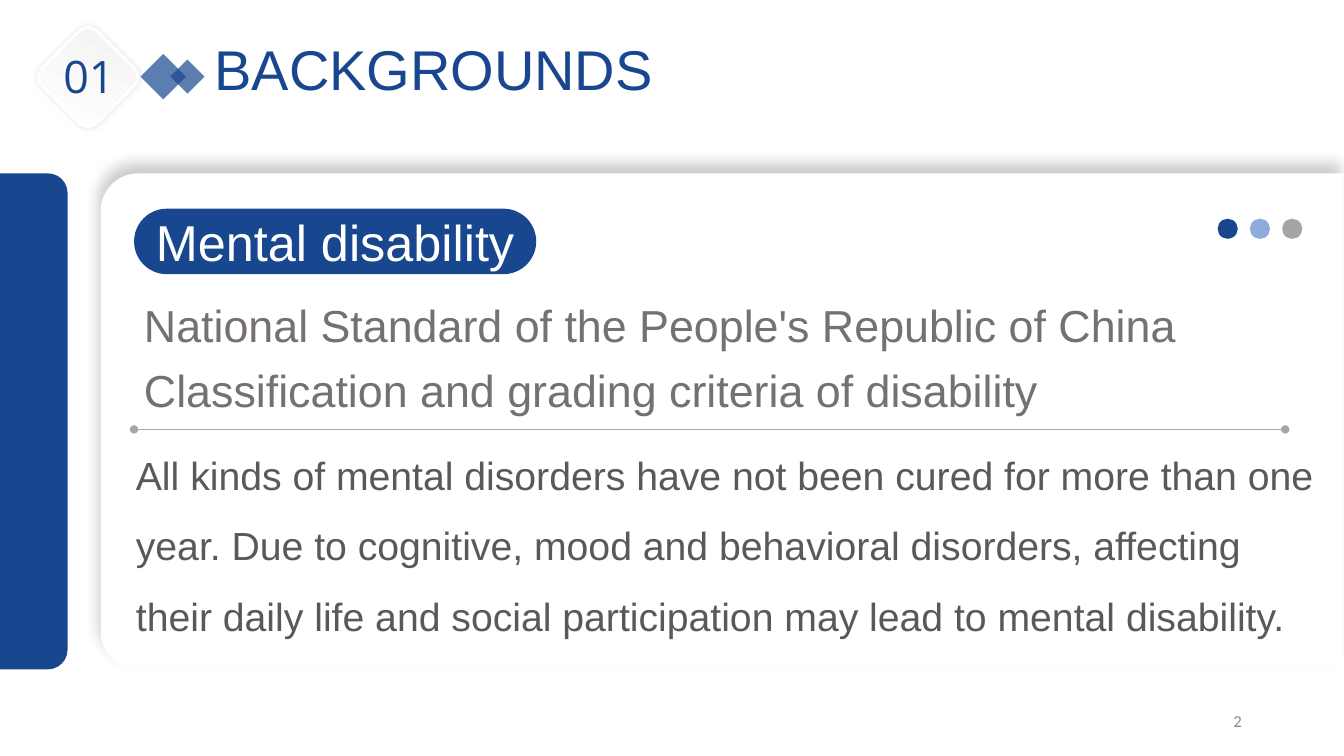
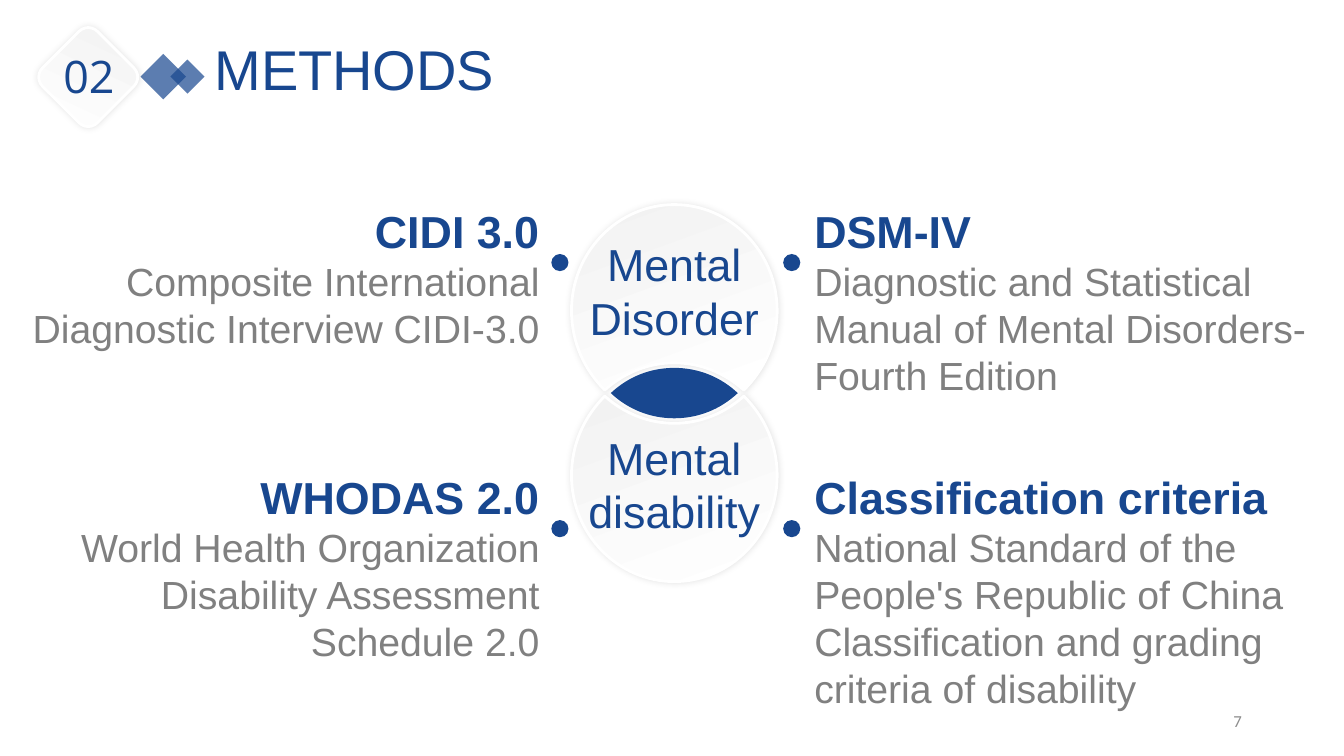
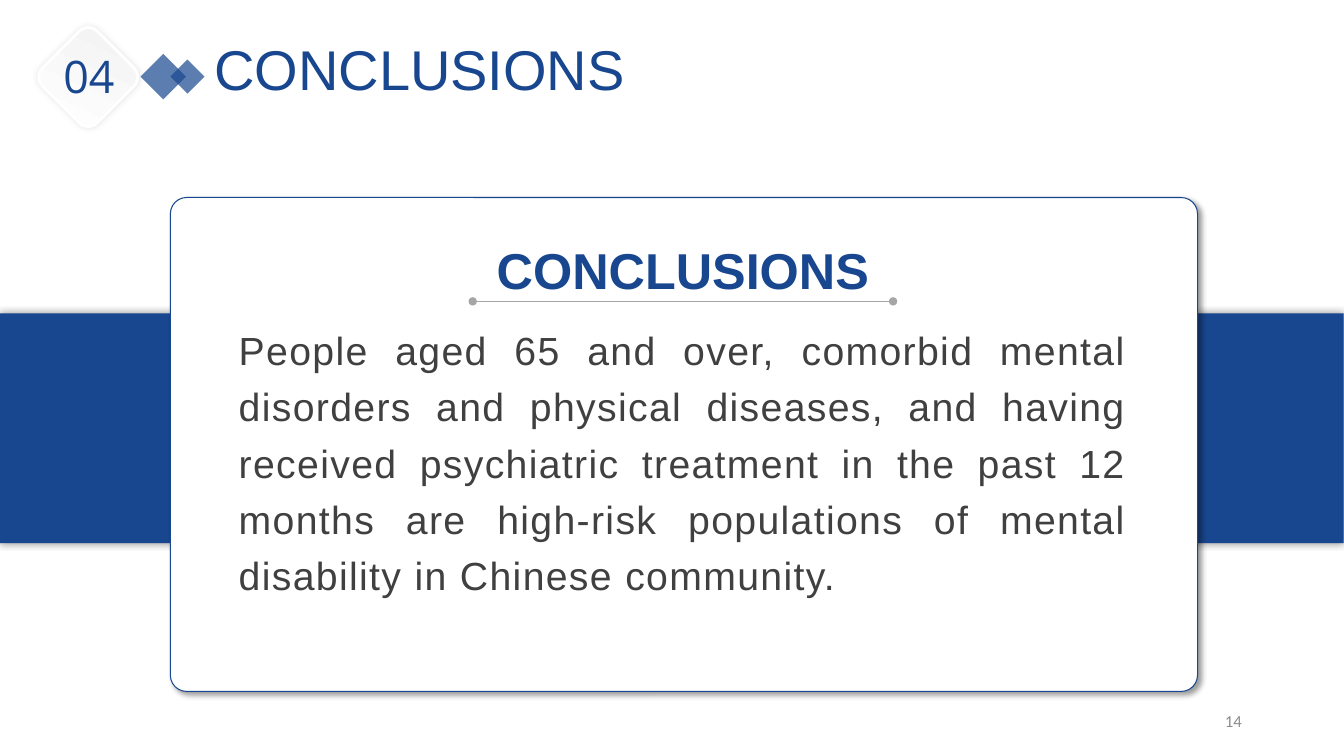
"""Three slides of a talk on mental disability, built with python-pptx."""
from dataclasses import dataclass

from lxml import etree
from pptx import Presentation
from pptx.dml.color import RGBColor
from pptx.enum.shapes import MSO_CONNECTOR, MSO_SHAPE
from pptx.enum.text import MSO_ANCHOR, MSO_AUTO_SIZE, PP_ALIGN
from pptx.oxml.ns import qn
from pptx.util import Pt

PX = 9144
RECT, ROUND = MSO_SHAPE.RECTANGLE, MSO_SHAPE.ROUNDED_RECTANGLE
TAB, OVAL = MSO_SHAPE.ROUND_2_SAME_RECTANGLE, MSO_SHAPE.OVAL
STRAIGHT = MSO_CONNECTOR.STRAIGHT
LEFT, CENTER, RIGHT, JUSTIFY = PP_ALIGN.LEFT, PP_ALIGN.CENTER, PP_ALIGN.RIGHT, PP_ALIGN.JUSTIFY
MIDDLE = MSO_ANCHOR.MIDDLE
GROW, FIXED = MSO_AUTO_SIZE.SHAPE_TO_FIT_TEXT, MSO_AUTO_SIZE.NONE
DISC = ((0, -30), (26, -30), (50, -20), (69, -3), (89, -23), (102, -50), (102, -82),
        (102, -140), (56, -187), (0, -187))
LENS = ((0, -25), (24, -25), (46, -16), (63, 0), (46, 16), (24, 25), (0, 25))


@dataclass(frozen=True)
class Theme:
    """Colours, fonts, type sizes and shadows shared by all slides."""
    navy: str = "18478F"
    sky: str = "8FAADC"
    silver: str = "A5A5A5"
    rule: str = "A6A6A6"
    white: str = "FFFFFF"
    pale: str = "F2F2F2"
    standard: str = "767171"
    body: str = "595959"
    detail: str = "808080"
    dark: str = "404040"
    page: str = "8C8C8C"
    font: str = "Arial"
    number_font: str = "Open Sans"
    page_font: str = "Calibri"
    title_size: int = 40
    head_size: int = 36
    lead_size: int = 32
    body_size: int = 28
    page_size: int = 12
    soft: tuple = (11, 5, 0, 0)
    panel: tuple = (20, 10, 7, 255)
    band: tuple = (40, 5, 0, 0)
    card: tuple = (40, 4, 3, 45)


T = Theme()


def emu(*lengths):
    """Turn px lengths into EMU."""
    return [round(v * PX) for v in lengths]


def rgb(color):
    """Turn a hex string into a colour."""
    return RGBColor.from_string(color)


def write(tf, text, size=T.body_size, color=T.navy, font=T.font, bold=False,
          align=LEFT, leading=None, after=None, tracking=None):
    """Add one formatted paragraph to a text frame."""
    p = tf.paragraphs[0]
    if p.runs:
        p = tf.add_paragraph()
    p.alignment, p.line_spacing, p.space_after = align, leading, after
    r = p.add_run()
    r.text = text
    r.font.size, r.font.bold, r.font.name = Pt(size), bold, font
    r.font.color.rgb = rgb(color)
    if tracking:
        r._r.get_or_add_rPr().set("spc", str(tracking * 100))


def text_frame(slide, box, wrap=True, auto=GROW, anchor=None, inset=None):
    """Add a text box and return its text frame."""
    tf = slide.shapes.add_textbox(*emu(*box)).text_frame
    tf.word_wrap, tf.auto_size = wrap, auto
    if anchor is not None:
        tf.vertical_anchor = anchor
    if inset is not None:
        tf.margin_left = tf.margin_right = tf.margin_top = tf.margin_bottom = inset
    return tf


def paint(sp, fill=None, line=None, width=1, shadow=None, alpha=None):
    """Set fill, outline and shadow; without a fill use the pale gradient."""
    sp.shadow.inherit = False
    if fill:
        sp.fill.solid()
        sp.fill.fore_color.rgb = rgb(fill)
    else:
        sp.fill.gradient()
        sp.fill.gradient_angle = 110
        for stop, color, at in zip(sp.fill.gradient_stops, (T.white, T.pale), (0, 1)):
            stop.color.rgb, stop.position = rgb(color), at
    if line:
        sp.line.color.rgb, sp.line.width = rgb(line), Pt(width)
    else:
        sp.line.fill.background()
    spPr = sp._element.spPr
    if alpha:
        clr = spPr.find(qn("a:solidFill")).find(qn("a:srgbClr"))
        etree.SubElement(clr, qn("a:alpha"), val=str(alpha * 1000))
    if shadow:
        opacity, blur, dist, angle = shadow
        outer = etree.SubElement(
            spPr.find(qn("a:effectLst")), qn("a:outerShdw"), blurRad=str(Pt(blur)),
            dist=str(Pt(dist)), dir=str(angle * 60000), algn="ctr", rotWithShape="0")
        clr = etree.SubElement(outer, qn("a:srgbClr"), val="000000")
        etree.SubElement(clr, qn("a:alpha"), val=str(opacity * 1000))
    return sp


def add_shape(slide, kind, box, adj=(), rot=0, **style):
    """Add a painted preset shape."""
    sp = slide.shapes.add_shape(kind, *emu(*box))
    sp.rotation = rot
    for i, value in enumerate(adj):
        sp.adjustments[i] = value
    return paint(sp, **style)


def add_side_tab(slide, box, rot, radius, **style):
    """Add a turned two-corner tab that covers the given box."""
    x, y, w, h = box
    turned = (x + (w - h) / 2, y + (h - w) / 2, h, w)
    return add_shape(slide, TAB, turned, (radius, 0), rot, **style)


def add_rule(slide, x, y, w):
    """Add a thin rule with round ends."""
    cxn = slide.shapes.add_connector(STRAIGHT, *emu(x, y, x + w, y))
    cxn.line.color.rgb, cxn.line.width = rgb(T.rule), Pt(0.5)
    spPr = cxn._element.spPr
    for end in ("a:headEnd", "a:tailEnd"):
        etree.SubElement(spPr.get_or_add_ln(), qn(end), type="oval")
    etree.SubElement(spPr, qn("a:effectLst"))


def add_frame(prs, number, title, page):
    """Add a slide with its numbered title and page number."""
    slide = prs.slides.add_slide(prs.slide_layouts[6])
    for box in ((146, 60, 32, 32), (174, 64, 24, 24)):
        add_shape(slide, RECT, box, rot=225, fill=T.navy, alpha=70)
    add_shape(slide, ROUND, (49, 38, 77, 77), rot=45, line=T.white, width=2, shadow=T.soft)
    write(text_frame(slide, (53, 43, 71, 64), wrap=False), number,
          size=T.lead_size, font=T.number_font)
    write(text_frame(slide, (203, 29, 474, 77)), title, size=T.title_size)
    write(text_frame(slide, (942, 695, 300, 40), auto=FIXED, anchor=MIDDLE), page,
          size=T.page_size, color=T.page, font=T.page_font, align=RIGHT)
    return slide


def add_definition(slide, box, term, standard, body):
    """Add a panel with a term, its standard and its definition."""
    x, y, w, h = box
    add_side_tab(slide, box, 270, 0.075, fill=T.white, shadow=T.panel)
    add_side_tab(slide, (0, y, 67, h), 90, 0.29, fill=T.navy)
    for i, color in enumerate((T.navy, T.sky, T.silver)):
        add_shape(slide, OVAL, (x + 1108 + 32 * i, y + 45, 20, 20), fill=color)
    pill = add_shape(slide, ROUND, (x + 33, y + 35, 399, 65), (0.5,), fill=T.navy)
    pill.text_frame.vertical_anchor = MIDDLE
    write(pill.text_frame, term, size=T.head_size, color=T.white, align=CENTER)
    write(text_frame(slide, (x + 33, y + 108, 1117, 133)), standard,
          size=T.lead_size, color=T.standard, leading=Pt(46))
    write(text_frame(slide, (x + 25, y + 247, 1199, 213)), body,
          color=T.body, leading=1.5)
    add_rule(slide, x + 33, y + 254, 1142)


def add_curve(slide, cx, cy, half, flip=1, **style):
    """Add a symmetric Bezier outline from the knots and handles of its right half."""
    ring = list(half) + [(-x, y) for x, y in half[-2::-1]]
    pts = [emu(cx + x, cy + flip * y) for x, y in ring]
    fb = slide.shapes.build_freeform(*pts[0], scale=1.0)
    fb.add_line_segments(pts[1:], close=True)
    sp = fb.convert_to_shape()
    outline = next(sp._element.spPr.iter(qn("a:path")))
    lines = outline.findall(qn("a:lnTo"))
    for i in range(0, len(lines), 3):
        curve = etree.Element(qn("a:cubicBezTo"))
        lines[i].addprevious(curve)
        for line in lines[i:i + 3]:
            curve.append(line[0])
            outline.remove(line)
    return paint(sp, **style)


def add_hub(slide, cx, cy, labels):
    """Add two overlapping discs, their lens and their labels."""
    for flip in (1, -1):
        add_curve(slide, cx, cy, DISC, flip, line=T.white, width=2, shadow=T.soft)
    add_curve(slide, cx, cy, LENS, fill=T.navy)
    for top, lines in zip((cy - 160, cy + 32), labels):
        tf = text_frame(slide, (cx - 99, top, 198, 118))
        for line in lines:
            write(tf, line, size=T.lead_size, align=CENTER)


def add_instrument(slide, box, align, name, detail):
    """Add a named instrument with a dot on its inner side."""
    x, y, w, _ = box
    tf = text_frame(slide, box)
    write(tf, name, size=T.lead_size, bold=True, align=align)
    write(tf, detail, color=T.detail, align=align)
    dot_x = x + w + 2 if align == RIGHT else x - 21
    add_shape(slide, OVAL, (dot_x, y + 55, 17, 17), fill=T.navy)


def add_conclusion(slide, box, title, body):
    """Add a bordered card over a full-width band."""
    x, y, w, h = box
    add_shape(slide, RECT, (0, y + 115, 1333, 228), fill=T.navy, shadow=T.band)
    add_shape(slide, ROUND, box, (0.033,), fill=T.white, line=T.navy,
              width=0.75, shadow=T.card)
    write(text_frame(slide, (x + 318, y + 41, 381, 61), anchor=MIDDLE, inset=0), title,
          size=T.head_size, bold=True, align=CENTER, after=Pt(12))
    write(text_frame(slide, (x + 58, y + 113, 901, 288)), body,
          color=T.dark, align=JUSTIFY, leading=1.2, tracking=1)
    add_rule(slide, x + 300, y + 103, 417)


def main():
    """Build and save the three slides."""
    prs = Presentation()
    prs.slide_width, prs.slide_height = Pt(960), Pt(540)
    standard = ("National Standard of the People's Republic of China "
                "Classification and grading criteria of disability")

    s = add_frame(prs, "01", "BACKGROUNDS", "2")
    add_definition(
        s, (100, 172, 1233, 492), "Mental disability", standard,
        "All kinds of mental disorders have not been cured for more than one year. "
        "Due to cognitive, mood and behavioral disorders, affecting their daily life "
        "and social participation may lead to mental disability.")

    s = add_frame(prs, "02", "METHODS", "7")
    add_hub(s, 669, 390, (("Mental", "Disorder"), ("Mental", "disability")))
    for box, align, name, detail in (
            ((798, 197, 516, 205), LEFT, "DSM-IV",
             "Diagnostic and Statistical Manual of Mental Disorders- Fourth Edition"),
            ((19, 197, 526, 158), RIGHT, "CIDI 3.0",
             "Composite International Diagnostic Interview CIDI-3.0"),
            ((798, 461, 516, 252), LEFT, "Classification criteria", standard),
            ((62, 461, 483, 205), RIGHT, "WHODAS 2.0",
             "World Health Organization Disability Assessment Schedule 2.0")):
        add_instrument(s, box, align, name, detail)

    s = add_frame(prs, "04", "CONCLUSIONS", "14")
    add_conclusion(
        s, (169, 196, 1019, 490), "CONCLUSIONS",
        "People aged 65 and over, comorbid mental disorders and physical diseases, "
        "and having received psychiatric treatment in the past 12 months are high-risk "
        "populations of mental disability in Chinese community.")
    prs.save("out.pptx")


if __name__ == "__main__":
    main()
